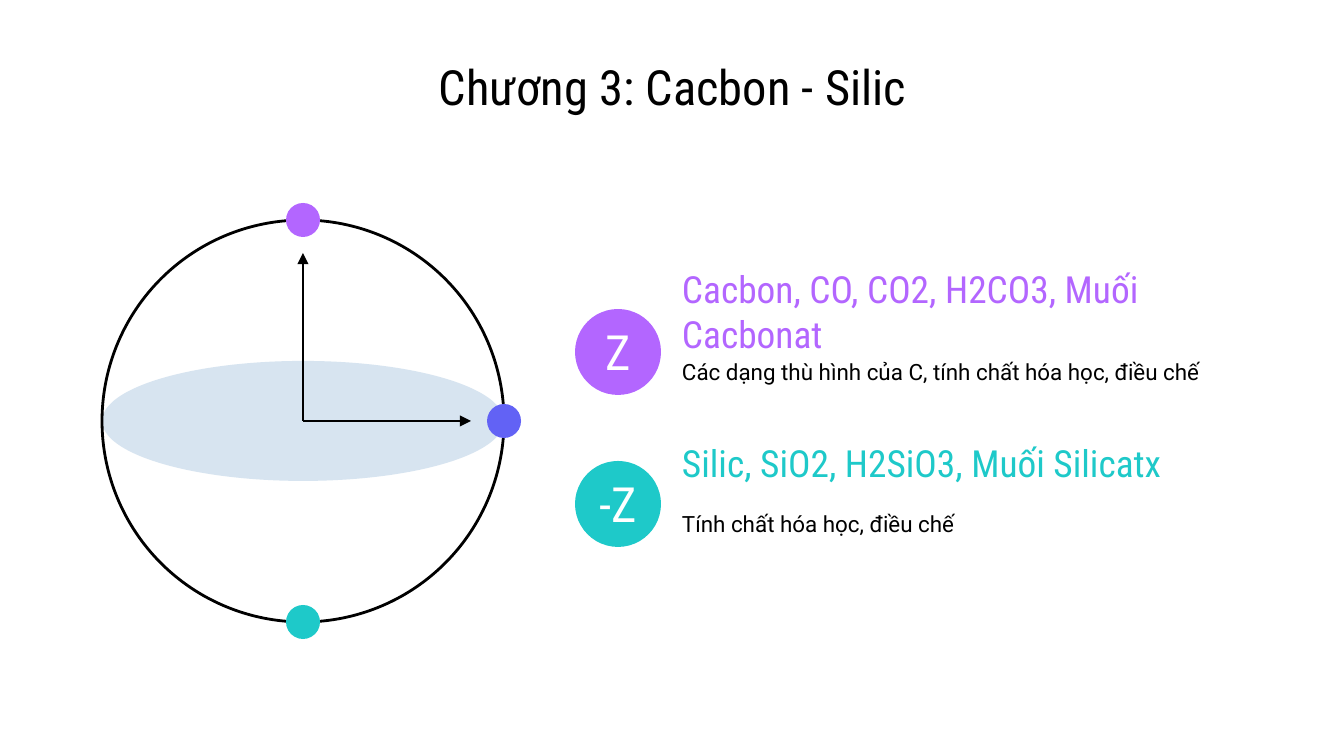
import lxml.etree
import pptx
import pptx.util
import pptx.dml.color
import pptx.enum.shapes
import pptx.enum.text
import pptx.oxml.ns

RGBColor = pptx.dml.color.RGBColor
BLACK = RGBColor(0x00, 0x00, 0x00)
WHITE = RGBColor(0xFF, 0xFF, 0xFF)
PALE_BLUE = RGBColor(0xD7, 0xE4, 0xF0)
PURPLE = RGBColor(0xB3, 0x66, 0xFF)
TEAL = RGBColor(0x1E, 0xC9, 0xC9)
BLUE = RGBColor(0x62, 0x62, 0xF5)

HEADING_FONT = "Roboto Condensed"
BODY_FONT = "Roboto"
ALIGN = pptx.enum.text.PP_ALIGN
OVAL = pptx.enum.shapes.MSO_SHAPE.OVAL

TITLE = "Chương 3: Cacbon - Silic"
TOPICS = [
    ("Z", PURPLE, "Cacbon, CO, CO2, H2CO3, Muối Cacbonat",
     "Các dạng thù hình của C, tính chất hóa học, điều chế", 606),
    ("-Z", TEAL, "Silic, SiO2, H2SiO3, Muối Silicatx",
     "Tính chất hóa học, điều chế", 571),
]

CENTER_X, CENTER_Y = 303, 421
RADIUS = 201
DISC_HALF_HEIGHT = 60
DOT_RADIUS = 17
ARROW_LENGTH = 168
DOTS = [(0, -1, PURPLE), (0, 1, TEAL), (1, 0, BLUE)]
ARROW_DIRECTIONS = [(0, -1), (1, 0)]

BADGE_RADIUS = 43
BADGE_X, FIRST_BADGE_Y = 618, 352
ROW_STEP = 152
TEXT_LEFT = 669
HEADING_OFFSET, HEADING_HEIGHT = -66, 50
BODY_OFFSET, BODY_WIDTH, BODY_HEIGHT = -23, 571, 85


def px(length):
    return pptx.util.Emu(round(length * 914400 / 134.4))


def write_text(shape, text, size, font, color, alignment=ALIGN.LEFT, insets=(13, 13, 13, 13)):
    frame = shape.text_frame
    frame.word_wrap = True
    frame.auto_size = pptx.enum.text.MSO_AUTO_SIZE.NONE
    frame.vertical_anchor = pptx.enum.text.MSO_ANCHOR.MIDDLE
    frame.margin_left, frame.margin_top, frame.margin_right, frame.margin_bottom = map(px, insets)
    paragraph = frame.paragraphs[0]
    paragraph.alignment = alignment
    run = paragraph.add_run()
    run.text = text
    run.font.size = pptx.util.Pt(size)
    run.font.name = font
    run.font.color.rgb = color


def add_ellipse(slide, x, y, half_width, half_height, fill=None, line=None):
    shape = slide.shapes.add_shape(
        OVAL, px(x - half_width), px(y - half_height), px(2 * half_width), px(2 * half_height))
    shape.shadow.inherit = False
    if fill is None:
        shape.fill.background()
    else:
        shape.fill.solid()
        shape.fill.fore_color.rgb = fill
    if line is None:
        shape.line.fill.background()
    else:
        shape.line.color.rgb = line
        shape.line.width = pptx.util.Pt(1.5)
    return shape


def add_arrow(slide, x, y):
    qn = pptx.oxml.ns.qn
    arrow = slide.shapes.add_connector(
        pptx.enum.shapes.MSO_CONNECTOR.STRAIGHT, px(CENTER_X), px(CENTER_Y), px(x), px(y))
    arrow.line.color.rgb = BLACK
    arrow.line.width = pptx.util.Pt(1.5)
    properties = arrow.element.find(qn("p:spPr"))
    lxml.etree.SubElement(properties.find(qn("a:ln")), qn("a:tailEnd"), type="triangle")
    lxml.etree.SubElement(properties, qn("a:effectLst"))


def add_text_box(slide, top, width, height, *text_style):
    box = slide.shapes.add_textbox(px(TEXT_LEFT), px(top), px(width), px(height))
    write_text(box, *text_style)


def add_sphere(slide):
    add_ellipse(slide, CENTER_X, CENTER_Y, RADIUS, DISC_HALF_HEIGHT, fill=PALE_BLUE)
    add_ellipse(slide, CENTER_X, CENTER_Y, RADIUS, RADIUS, line=BLACK)
    for across, down, color in DOTS:
        add_ellipse(slide, CENTER_X + across * RADIUS, CENTER_Y + down * RADIUS,
                    DOT_RADIUS, DOT_RADIUS, fill=color)
    for across, down in ARROW_DIRECTIONS:
        add_arrow(slide, CENTER_X + across * ARROW_LENGTH, CENTER_Y + down * ARROW_LENGTH)


def add_topics(slide):
    for row, (label, color, heading, body, heading_width) in enumerate(TOPICS):
        y = FIRST_BADGE_Y + row * ROW_STEP
        badge = add_ellipse(slide, BADGE_X, y, BADGE_RADIUS, BADGE_RADIUS, fill=color)
        write_text(badge, label, 26, HEADING_FONT, WHITE, ALIGN.CENTER, (0, 13, 0, 15))
        add_text_box(slide, y + HEADING_OFFSET, heading_width, HEADING_HEIGHT,
                     heading, 20, HEADING_FONT, color)
        add_text_box(slide, y + BODY_OFFSET, BODY_WIDTH, BODY_HEIGHT,
                     body, 12, BODY_FONT, BLACK)


def main():
    presentation = pptx.Presentation()
    presentation.slide_width, presentation.slide_height = px(1344), px(756)
    slide = presentation.slides.add_slide(presentation.slide_layouts[5])
    title = slide.shapes.title
    title.left, title.top, title.width, title.height = map(px, (296, 44, 754, 85))
    write_text(title, TITLE, 26, HEADING_FONT, BLACK, ALIGN.CENTER)
    add_sphere(slide)
    add_topics(slide)
    presentation.save("out.pptx")


if __name__ == "__main__":
    main()
